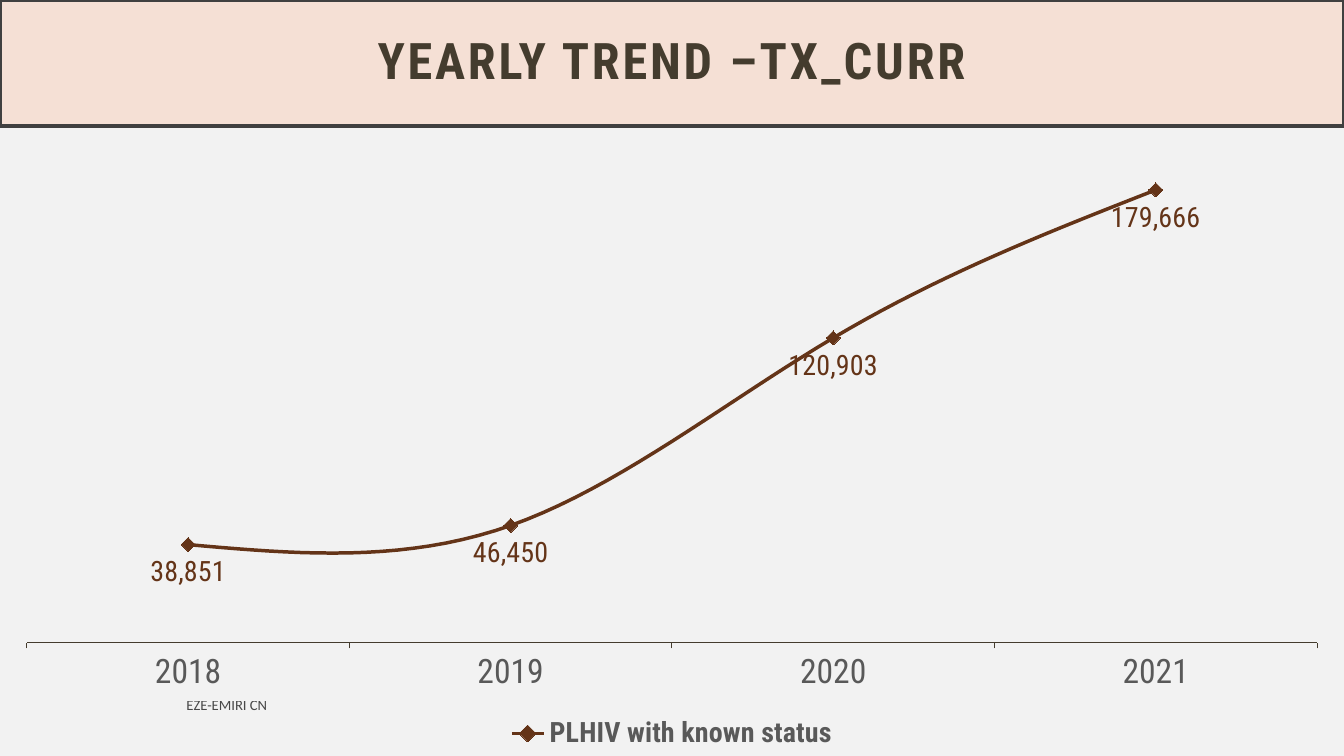
from dataclasses import dataclass

from lxml import etree
from pptx import Presentation
from pptx import util as u
from pptx.chart.chart import Chart
from pptx.chart.data import CategoryChartData
from pptx.dml.color import RGBColor
from pptx.enum import chart as charts, shapes, text
from pptx.oxml import ns
from pptx.shapes.autoshape import Shape
from pptx.slide import Slide
from pptx.text.text import Font


@dataclass(frozen=True)
class Theme:
    background: str = "F2F2F2"
    band: str = "F5E0D5"
    band_line: str = "404040"
    title: str = "443C2E"
    series: str = "643418"
    muted: str = "595959"
    black: str = "000000"
    display_font: str = "Roboto Condensed"
    body_font: str = "Calibri"
    title_size: float = 36
    axis_size: float = 24
    chart_size: float = 20
    footer_size: float = 10.5
    line_width: float = 2.5


@dataclass(frozen=True)
class Box:
    left: float
    top: float
    width: float
    height: float

    def lengths(self) -> list[u.Length]:
        return [u.Cm(value) for value in (self.left, self.top, self.width, self.height)]


@dataclass(frozen=True)
class Label:
    wording: str
    font: str
    size: float
    color: str
    bold: bool = False
    align: text.PP_ALIGN = text.PP_ALIGN.LEFT
    line_spacing: float = 1.0
    letter_spacing: int = 0
    opacity: int = 100


THEME = Theme()
SLIDE_WIDTH, SLIDE_HEIGHT = 33.87, 19.05
BAND_HEIGHT = 3.18
TITLE_BOX = Box(0, 0, SLIDE_WIDTH, BAND_HEIGHT)
CHART_BOX = Box(0, BAND_HEIGHT, SLIDE_WIDTH, SLIDE_HEIGHT - BAND_HEIGHT)
FOOTER_BOX = Box(4.45, 17.32, 16.38, 0.89)
PLOT_LAYOUT = {"x": 0.02, "y": 0.02, "w": 0.96, "h": 0.8}

TITLE = Label("YEARLY TREND –TX_CURR", THEME.display_font, THEME.title_size, THEME.title,
              bold=True, align=text.PP_ALIGN.CENTER, line_spacing=0.9, letter_spacing=200)
FOOTER = Label("EZE-EMIRI CN", THEME.body_font, THEME.footer_size, THEME.black, opacity=70)

SERIES_NAME = "PLHIV with known status"
PATIENTS_BY_YEAR = {"2018": 38851, "2019": 46450, "2020": 120903, "2021": 179666}


def rgb(color: str) -> RGBColor:
    return RGBColor.from_string(color)


def style_font(font: Font, name: str, size: float, color: str, bold: bool = False) -> None:
    font.name = name
    font.size = u.Pt(size)
    font.bold = bold
    font.color.rgb = rgb(color)


def write_label(shape: Shape, label: Label) -> None:
    frame = shape.text_frame
    frame.word_wrap = True
    frame.vertical_anchor = text.MSO_ANCHOR.MIDDLE
    paragraph = frame.paragraphs[0]
    paragraph.alignment = label.align
    paragraph.line_spacing = label.line_spacing
    run = paragraph.add_run()
    run.text = label.wording
    style_font(run.font, label.font, label.size, label.color, label.bold)
    properties = run._r.get_or_add_rPr()
    if label.letter_spacing:
        properties.set("spc", str(label.letter_spacing))
    if label.opacity < 100:
        color = properties.find(".//" + ns.qn("a:srgbClr"))
        etree.SubElement(color, ns.qn("a:alpha")).set("val", str(label.opacity * 1000))


def add_title(slide: Slide) -> None:
    band = slide.shapes.add_shape(shapes.MSO_SHAPE.RECTANGLE, *TITLE_BOX.lengths())
    band.shadow.inherit = False
    band.fill.solid()
    band.fill.fore_color.rgb = rgb(THEME.band)
    band.line.color.rgb = rgb(THEME.band_line)
    band.line.width = u.Pt(THEME.line_width)
    write_label(band, TITLE)


def set_plot_layout(chart: Chart) -> None:
    plot_area = chart._chartSpace.chart.plotArea
    layout = plot_area.find(ns.qn("c:layout"))
    if layout is None:
        layout = etree.Element(ns.qn("c:layout"))
        plot_area.insert(0, layout)
    manual = etree.SubElement(layout, ns.qn("c:manualLayout"))
    settings = {"layoutTarget": "inner", "xMode": "edge", "yMode": "edge", **PLOT_LAYOUT}
    for tag, value in settings.items():
        etree.SubElement(manual, ns.qn(f"c:{tag}")).set("val", str(value))


def style_axes(chart: Chart) -> None:
    years = chart.category_axis
    years.major_tick_mark = charts.XL_TICK_MARK.OUTSIDE
    years.minor_tick_mark = charts.XL_TICK_MARK.NONE
    years.has_major_gridlines = False
    years.format.line.color.rgb = rgb(THEME.title)
    years.format.line.width = u.Pt(0.75)
    style_font(years.tick_labels.font, THEME.display_font, THEME.axis_size, THEME.muted)
    patients = chart.value_axis
    patients.visible = False
    patients.has_major_gridlines = False
    patients.minimum_scale = 0
    patients.maximum_scale = 200000


def style_series(chart: Chart) -> None:
    plot = chart.plots[0]
    plot.vary_by_categories = False
    series = plot.series[0]
    series.smooth = True
    series.format.line.color.rgb = rgb(THEME.series)
    series.format.line.width = u.Pt(THEME.line_width)
    marker = series.marker
    marker.style = charts.XL_MARKER_STYLE.DIAMOND
    marker.size = 10
    marker.format.fill.solid()
    marker.format.fill.fore_color.rgb = rgb(THEME.series)
    marker.format.line.color.rgb = rgb(THEME.series)
    labels = series.data_labels
    labels.show_value = True
    labels.position = charts.XL_LABEL_POSITION.BELOW
    labels.number_format = "#,##0"
    labels.number_format_is_linked = False
    style_font(labels.font, THEME.display_font, THEME.chart_size, THEME.series)


def add_trend_chart(slide: Slide) -> None:
    data = CategoryChartData(number_format="#,##0")
    data.categories = list(PATIENTS_BY_YEAR)
    data.add_series(SERIES_NAME, list(PATIENTS_BY_YEAR.values()))
    chart = slide.shapes.add_chart(
        charts.XL_CHART_TYPE.LINE_MARKERS_STACKED, *CHART_BOX.lengths(), data).chart
    style_font(chart.font, THEME.body_font, 16, THEME.black)
    chart.has_title = False
    chart.has_legend = True
    chart.legend.position = charts.XL_LEGEND_POSITION.BOTTOM
    chart.legend.include_in_layout = False
    style_font(chart.legend.font, THEME.display_font, THEME.chart_size, THEME.muted, bold=True)
    set_plot_layout(chart)
    style_axes(chart)
    style_series(chart)


def main() -> None:
    presentation = Presentation()
    presentation.slide_width = u.Cm(SLIDE_WIDTH)
    presentation.slide_height = u.Cm(SLIDE_HEIGHT)
    slide = presentation.slides.add_slide(presentation.slide_layouts[6])
    slide.background.fill.solid()
    slide.background.fill.fore_color.rgb = rgb(THEME.background)
    add_title(slide)
    add_trend_chart(slide)
    write_label(slide.shapes.add_textbox(*FOOTER_BOX.lengths()), FOOTER)
    presentation.save("out.pptx")


if __name__ == "__main__":
    main()
